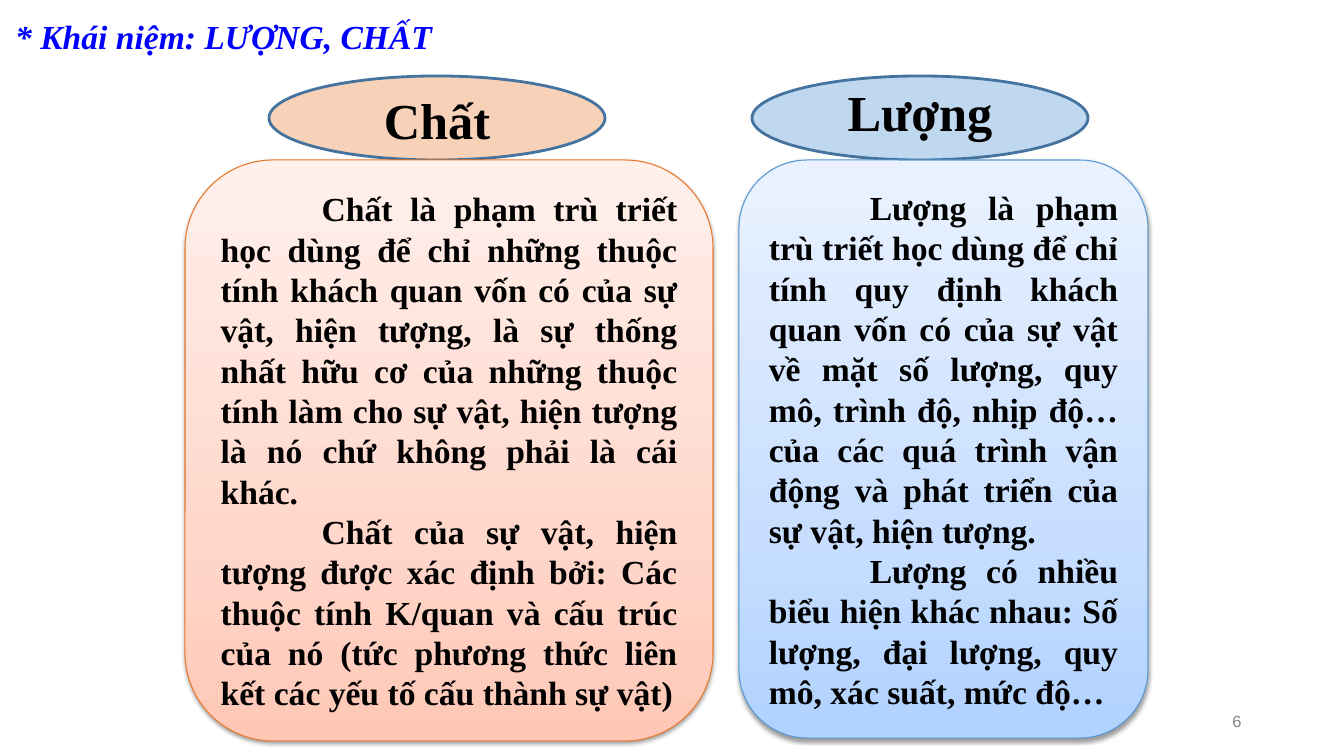
from lxml import etree
from pptx import Presentation
from pptx.dml.color import RGBColor
from pptx.enum.shapes import MSO_SHAPE as Shape
from pptx.enum.text import MSO_ANCHOR as Anchor, PP_ALIGN as Align
from pptx.oxml import parse_xml
from pptx.oxml.ns import nsdecls, qn
from pptx.util import Emu, Pt

EMU_PER_PX = 914400 / 100.8
SERIF = "Times New Roman"
COLORS = {
    "title": "0000FF", "text": "000000", "number": "898989",
    "oval_line": "43739E", "quality": "F4B183", "quantity": "5B9BD5",
    "quality_line": "EC792B", "quantity_line": "5698D3",
}
GRADIENTS = {
    "quality": ["FFC7B6", "FFD7CB", "FFF0EB"],
    "quantity": ["B0D2FF", "C7DEFF", "EAF2FF"],
}
QUALITY_TEXT = [
    "Chất là phạm trù triết học dùng để chỉ những thuộc tính khách quan vốn có "
    "của sự vật, hiện tượng, là sự thống nhất hữu cơ của những thuộc tính làm cho "
    "sự vật, hiện tượng là nó chứ không phải là cái khác.",
    "Chất của sự vật, hiện tượng được xác định bởi: Các thuộc tính K/quan và cấu "
    "trúc của nó (tức phương thức liên kết các yếu tố cấu thành sự vật)",
]
QUANTITY_TEXT = [
    "Lượng là phạm trù triết học dùng để chỉ tính quy định khách quan vốn có của "
    "sự vật về mặt số lượng, quy mô, trình độ, nhịp độ… của các quá trình vận động "
    "và phát triển của sự vật, hiện tượng.",
    "Lượng có nhiều biểu hiện khác nhau: Số lượng, đại lượng, quy mô, xác suất, "
    "mức độ…",
]


def px(value):
    return Emu(round(value * EMU_PER_PX))


def box(left, top, width, height):
    return px(left), px(top), px(width), px(height)


def color(name):
    return RGBColor.from_string(COLORS[name])


def add_run(paragraph, text, size, color_name="text", font=SERIF, bold=True, italic=False):
    run = paragraph.add_run()
    run.text = text
    run.font.name, run.font.size = font, Pt(size)
    run.font.bold, run.font.italic = bold, italic
    run.font.color.rgb = color(color_name)


def add_title(slide, text):
    title = slide.shapes.title
    title.left, title.top, title.width, title.height = box(5, 15, 839, 81)
    title.text_frame.vertical_anchor = Anchor.TOP
    paragraph = title.text_frame.paragraphs[0]
    paragraph.alignment = Align.LEFT
    paragraph.line_spacing = 0.9
    add_run(paragraph, text, 24, "title", italic=True)


def add_oval(slide, left, fill, alpha):
    oval = slide.shapes.add_shape(Shape.OVAL, *box(left, 76, 336, 84))
    oval.shadow.inherit = False
    oval.fill.solid()
    oval.fill.fore_color.rgb = color(fill)
    fill_color = oval.fill._xPr.find(".//" + qn("a:srgbClr"))
    etree.SubElement(fill_color, qn("a:alpha")).set("val", str(alpha * 1000))
    oval.line.color.rgb = color("oval_line")
    oval.line.width = Pt(2)


def set_gradient_and_shadow(shape, colors):
    stops = "".join(
        f'<a:gs pos="{position * 1000}"><a:srgbClr val="{stop}"/></a:gs>'
        for position, stop in zip((0, 35, 100), colors))
    properties = shape._element.spPr
    # Gradient from bottom to top
    properties.find(qn("a:prstGeom")).addnext(parse_xml(
        f'<a:gradFill {nsdecls("a")} rotWithShape="1"><a:gsLst>{stops}</a:gsLst>'
        '<a:lin ang="16200000" scaled="1"/></a:gradFill>'))
    # Soft shadow below
    properties.append(parse_xml(
        f'<a:effectLst {nsdecls("a")}><a:outerShdw blurRad="{Pt(3.1)}" dist="{Pt(1.6)}" '
        'dir="5400000" rotWithShape="0"><a:srgbClr val="000000"><a:alpha val="38000"/>'
        '</a:srgbClr></a:outerShdw></a:effectLst>'))


def add_card(slide, place, name, texts):
    card = slide.shapes.add_shape(Shape.ROUNDED_RECTANGLE, *box(*place))
    card.line.color.rgb = color(name + "_line")
    card.line.width = Pt(0.75)
    set_gradient_and_shadow(card, GRADIENTS[name])
    frame = card.text_frame
    frame.vertical_anchor = Anchor.MIDDLE
    for index, text in enumerate(texts):
        paragraph = frame.add_paragraph() if index else frame.paragraphs[0]
        paragraph.alignment = Align.JUSTIFY
        paragraph._p.get_or_add_pPr().set("indent", str(px(101)))
        add_run(paragraph, text, 24)


def add_label(slide, place, text):
    frame = slide.shapes.add_textbox(*box(*place)).text_frame
    frame.word_wrap = False
    paragraph = frame.paragraphs[0]
    paragraph.alignment = Align.CENTER
    paragraph.space_before = Pt(7.2)
    add_run(paragraph, text, 36)


def add_slide_number(slide, text):
    frame = slide.shapes.add_textbox(*box(950, 701, 302, 40)).text_frame
    frame.word_wrap = True
    frame.vertical_anchor = Anchor.MIDDLE
    paragraph = frame.paragraphs[0]
    paragraph.alignment = Align.RIGHT
    add_run(paragraph, text, 12, "number", "Courier New", bold=False)


def main():
    presentation = Presentation()
    presentation.slide_width, presentation.slide_height = px(1344), px(756)
    slide = presentation.slides.add_slide(presentation.slide_layouts[5])
    add_title(slide, "* Khái niệm: LƯỢNG, CHẤT")

    # Ovals behind the headings
    add_oval(slide, 752, "quantity", 38)
    add_oval(slide, 269, "quality", 57)
    add_slide_number(slide, "6")

    # Definition cards
    add_card(slide, (185, 160, 528, 581), "quality", QUALITY_TEXT)
    add_card(slide, (739, 160, 409, 578), "quantity", QUANTITY_TEXT)

    # Headings
    add_label(slide, (373, 84, 128, 72), "Chất")
    add_label(slide, (837, 76, 166, 72), "Lượng")

    presentation.save("out.pptx")


if __name__ == "__main__":
    main()
